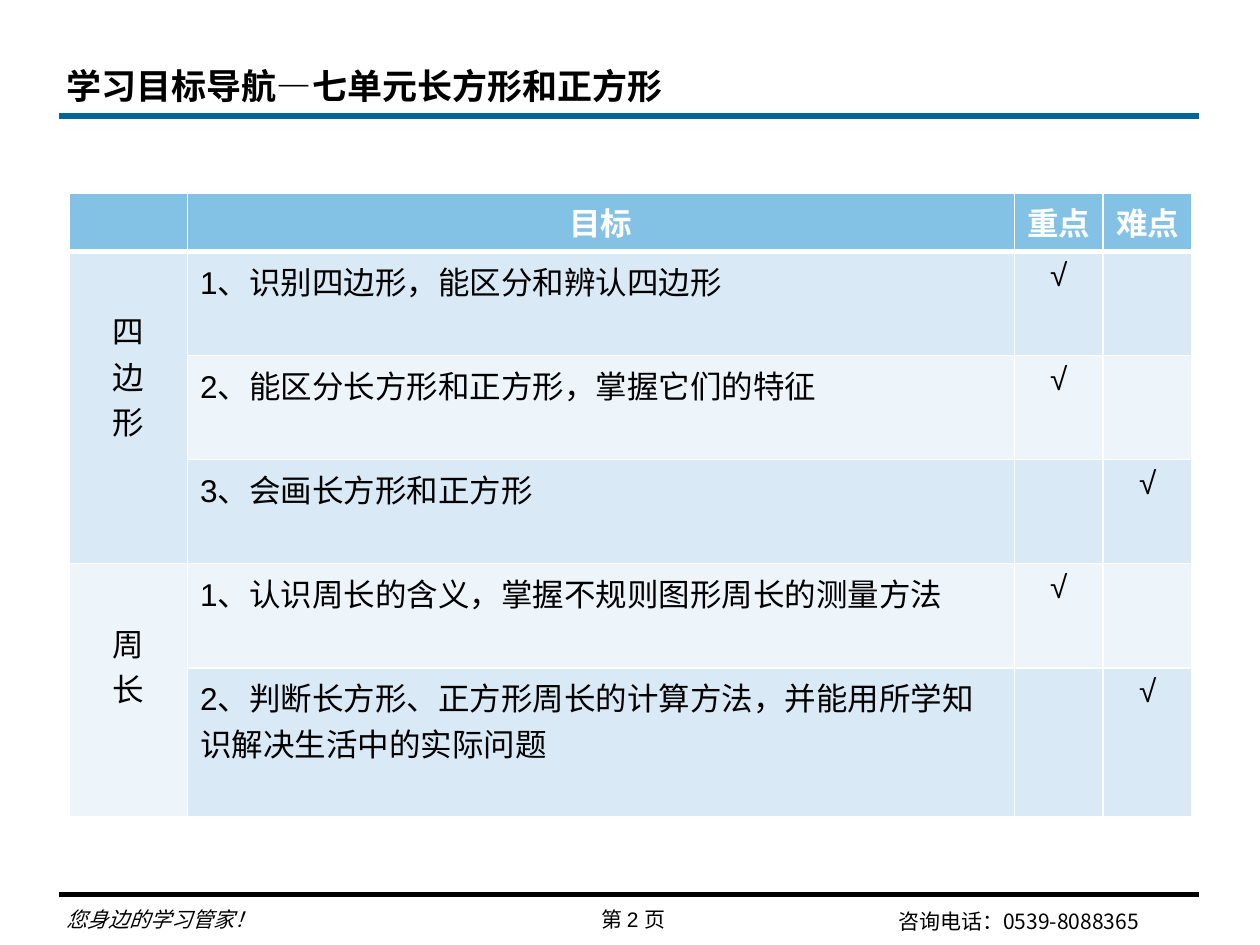
from dataclasses import dataclass

from lxml.etree import SubElement
from pptx import Presentation
from pptx.dml.color import RGBColor
from pptx.enum.shapes import MSO_CONNECTOR
from pptx.enum.text import MSO_ANCHOR, MSO_AUTO_SIZE, PP_ALIGN
from pptx.oxml.ns import qn
from pptx.util import Cm, Pt


@dataclass(frozen=True)
class Theme:
    ink: str = "000000"
    white: str = "FFFFFF"
    rule: str = "006699"
    header: str = "83C2E5"
    bands: tuple = ("D9E9F5", "EDF4FA")
    latin: str = "Arial"
    chinese: str = "Noto Sans CJK SC"
    title_size: int = 20
    table_size: int = 18
    footer_size: int = 12


THEME = Theme()
CHECK = "√"
HEADINGS = ("", "目标", "重点", "难点")
TOPICS = (
    ("四边形", (
        ("1、识别四边形，能区分和辨认四边形", CHECK, ""),
        ("2、能区分长方形和正方形，掌握它们的特征", CHECK, ""),
        ("3、会画长方形和正方形", "", CHECK),
    )),
    ("周长", (
        ("1、认识周长的含义，掌握不规则图形周长的测量方法", CHECK, ""),
        ("2、判断长方形、正方形周长的计算方法，并能用所学知识解决生活中的实际问题", "", CHECK),
    )),
)
COLUMN_WIDTHS = (2.38, 16.67, 1.79, 1.79)
ROW_HEIGHTS = (1.14, 2.1, 2.1, 2.1, 2.1, 3.0)


def write(frame, text, size=THEME.table_size, color=THEME.ink, font=THEME.latin,
          bold=False, italic=False, align=PP_ALIGN.LEFT):
    frame.text = text
    for paragraph in frame.paragraphs:
        paragraph.alignment = align
        for run in paragraph.runs:
            run.font.size = Pt(size)
            run.font.bold = bold
            run.font.italic = italic
            run.font.name = font
            run.font.color.rgb = RGBColor.from_string(color)
            SubElement(run.font._element, qn("a:ea"), typeface=THEME.chinese)


def add_title(slide, text):
    title = slide.shapes.title
    title.left, title.top, title.width, title.height = Cm(1.09), Cm(0.64), Cm(20.17), Cm(1.63)
    title.text_frame.auto_size = MSO_AUTO_SIZE.NONE
    title.text_frame.vertical_anchor = MSO_ANCHOR.BOTTOM
    write(title.text_frame, text, size=THEME.title_size, font=THEME.chinese, bold=True)


def add_rule(slide, y, color):
    rule = slide.shapes.add_connector(MSO_CONNECTOR.STRAIGHT, Cm(1.18), Cm(y), Cm(24.18), Cm(y))
    rule.line.color.rgb = RGBColor.from_string(color)
    rule.line.width = Pt(3)
    SubElement(rule._element.spPr, qn("a:effectLst"))


def add_footer(slide, text, left, top, width, height, anchor=MSO_ANCHOR.BOTTOM, **style):
    footer = slide.shapes.add_textbox(Cm(left), Cm(top), Cm(width), Cm(height)).text_frame
    footer.word_wrap = True
    footer.vertical_anchor = anchor
    write(footer, text, size=THEME.footer_size, **style)


def paint_cell(cell, fill, top=1, bottom=1):
    properties = cell._tc.get_or_add_tcPr()
    for side, width in (("L", 1), ("R", 1), ("T", top), ("B", bottom)):
        border = SubElement(properties, qn(f"a:ln{side}"), w=str(Pt(width)))
        solid = SubElement(border, qn("a:solidFill"))
        SubElement(solid, qn("a:srgbClr"), val=THEME.white)
    cell.fill.solid()
    cell.fill.fore_color.rgb = RGBColor.from_string(fill)


def fill_header(table):
    for column, heading in enumerate(HEADINGS):
        cell = table.cell(0, column)
        paint_cell(cell, THEME.header, bottom=3)
        write(cell.text_frame, heading, color=THEME.white, bold=True, align=PP_ALIGN.CENTER)


def fill_topic(table, first_row, topic, goals):
    for row, goal in enumerate(goals, first_row):
        for column, text in enumerate(("", *goal)):
            cell = table.cell(row, column)
            paint_cell(cell, THEME.bands[(row - 1) % 2], top=3 if row == 1 else 1)
            write(cell.text_frame, text,
                  align=PP_ALIGN.LEFT if column == 1 else PP_ALIGN.CENTER)
    topic_cell = table.cell(first_row, 0)
    topic_cell.merge(table.cell(first_row + len(goals) - 1, 0))
    topic_cell.margin_top = Cm(1.13)
    write(topic_cell.text_frame, "\n".join(topic), align=PP_ALIGN.CENTER)


def add_goal_table(slide):
    table = slide.shapes.add_table(
        len(ROW_HEIGHTS), len(COLUMN_WIDTHS), Cm(1.4), Cm(3.89),
        Cm(sum(COLUMN_WIDTHS)), Cm(sum(ROW_HEIGHTS))).table
    table.horz_banding = False
    for column, width in zip(table.columns, COLUMN_WIDTHS):
        column.width = Cm(width)
    for row, height in zip(table.rows, ROW_HEIGHTS):
        row.height = Cm(height)
    fill_header(table)
    first_row = 1
    for topic, goals in TOPICS:
        fill_topic(table, first_row, topic, goals)
        first_row += len(goals)


def main():
    deck = Presentation()
    deck.slide_width, deck.slide_height = Cm(25.4), Cm(19.05)
    slide = deck.slides.add_slide(deck.slide_layouts[5])
    add_title(slide, "学习目标导航—七单元长方形和正方形")
    add_rule(slide, 2.34, THEME.rule)
    add_goal_table(slide)
    add_rule(slide, 18.03, THEME.ink)
    add_footer(slide, "您身边的学习管家！", 1.09, 18.01, 6.1, 0.89,
               font=THEME.chinese, italic=True)
    add_footer(slide, "第 2 页", 11.28, 18.16, 2.97, 0.76,
               anchor=MSO_ANCHOR.TOP, align=PP_ALIGN.CENTER)
    add_footer(slide, "咨询电话：0539-8088365", 17.86, 18.06, 6.1, 0.89, font=THEME.chinese)
    deck.save("out.pptx")


if __name__ == "__main__":
    main()
